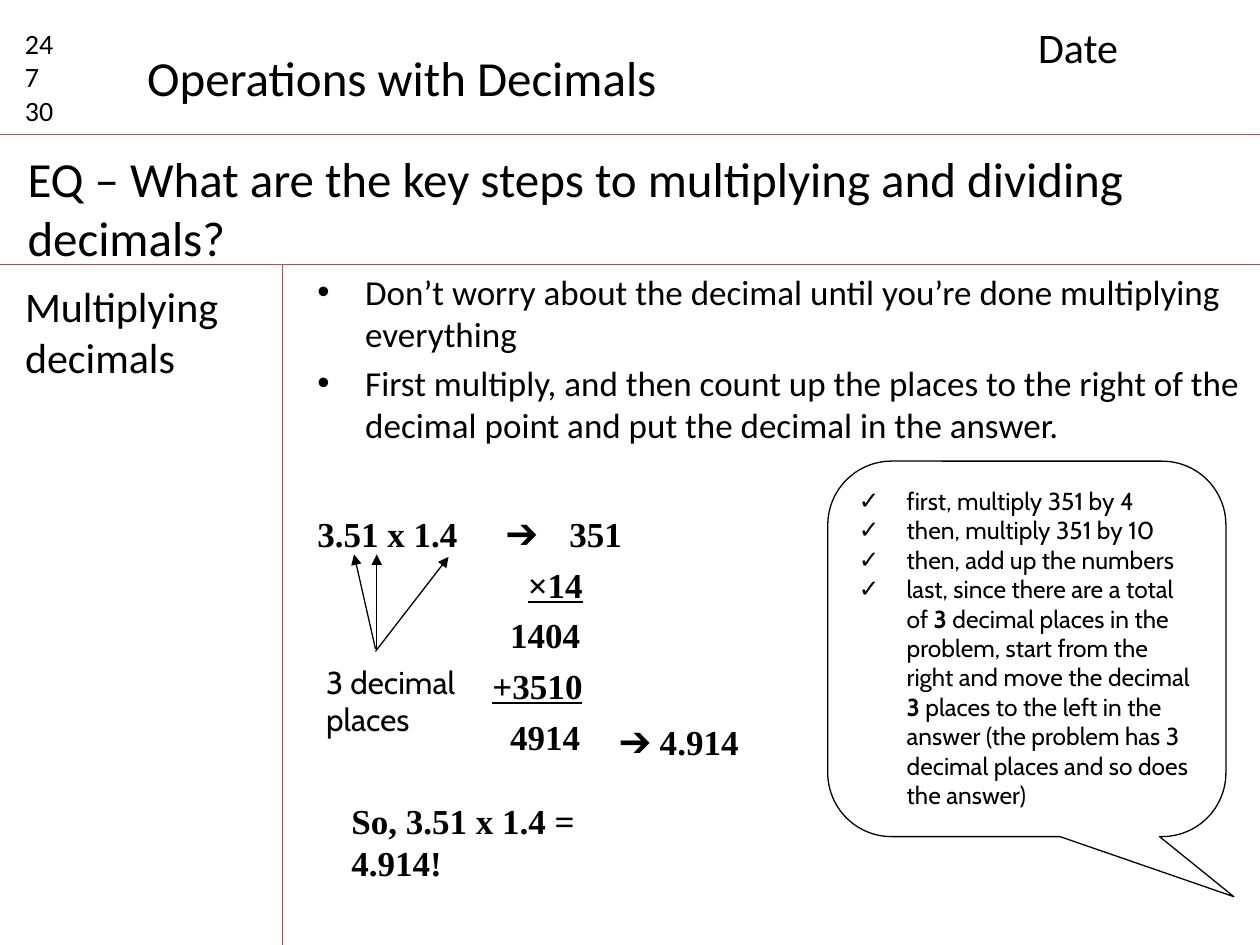
from dataclasses import dataclass

from lxml import etree
from pptx import Presentation
from pptx.dml.color import RGBColor
from pptx.enum.shapes import MSO_CONNECTOR, MSO_SHAPE
from pptx.enum.text import MSO_ANCHOR, PP_ALIGN
from pptx.oxml.ns import qn
from pptx.util import Inches, Pt

STRAIGHT = MSO_CONNECTOR.STRAIGHT
CALLOUT = MSO_SHAPE.ROUNDED_RECTANGULAR_CALLOUT
TOP = MSO_ANCHOR.TOP
LEFT = PP_ALIGN.LEFT
COLORS = {"rule": "BF4C48", "ink": "000000", "paper": "FFFFFF"}
HANGING = 0.38


@dataclass(frozen=True)
class Span:
    text: str
    bold: bool = False
    underline: bool = False


@dataclass(frozen=True)
class Line:
    spans: tuple[Span, ...]
    size: int
    font: str = "Calibri"
    before: float = 0
    margin: float = 0
    bullet: str = ""
    tabs: tuple[float, ...] = ()


@dataclass(frozen=True)
class Note:
    box: tuple[float, float, float, float]
    lines: tuple[Line, ...]
    wrap: bool = True


@dataclass(frozen=True)
class Stroke:
    start: tuple[float, float]
    end: tuple[float, float]
    color: str = "rule"
    arrow: bool = False


def rgb(name: str) -> RGBColor:
    return RGBColor.from_string(COLORS[name])


def plain(size: int, *texts: str, font: str = "Calibri", bold: bool = False) -> tuple[Line, ...]:
    return tuple(Line((Span(text, bold),), size, font) for text in texts)


def sum_line(text: str, margin: float = 0, underline: bool = False,
             before: float = 5, tabs: tuple[float, ...] = ()) -> Line:
    return Line((Span(text, True, underline),), 20, "Times New Roman", before, margin, tabs=tabs)


def write_line(paragraph, line: Line) -> None:
    paragraph.alignment = LEFT
    paragraph.space_before = Pt(line.before)
    properties = paragraph._p.get_or_add_pPr()
    properties.set("marL", str(Inches(line.margin)))
    properties.set("indent", str(Inches(-line.margin if line.bullet else 0)))
    if line.bullet:
        etree.SubElement(properties, qn("a:buFont"), typeface="Arial")
        etree.SubElement(properties, qn("a:buChar"), char=line.bullet)
    else:
        etree.SubElement(properties, qn("a:buNone"))
    if line.tabs:
        stops = etree.SubElement(properties, qn("a:tabLst"))
        for stop in line.tabs:
            etree.SubElement(stops, qn("a:tab"), pos=str(Inches(stop)), algn="l")
    for span in line.spans:
        run = paragraph.add_run()
        run.text = span.text
        run.font.name = line.font
        run.font.size = Pt(line.size)
        run.font.bold = span.bold
        run.font.underline = span.underline
        run.font.color.rgb = rgb("ink")


def write_lines(frame, lines: tuple[Line, ...], wrap: bool = True) -> None:
    frame.word_wrap = wrap
    frame.vertical_anchor = TOP
    for index, line in enumerate(lines):
        write_line(frame.add_paragraph() if index else frame.paragraphs[0], line)


def draw_note(slide, note: Note) -> None:
    textbox = slide.shapes.add_textbox(*map(Inches, note.box))
    write_lines(textbox.text_frame, note.lines, note.wrap)


def draw_stroke(slide, stroke: Stroke) -> None:
    connector = slide.shapes.add_connector(STRAIGHT, *map(Inches, stroke.start + stroke.end))
    connector.line.color.rgb = rgb(stroke.color)
    connector.line.width = Pt(0.75)
    if stroke.arrow:
        etree.SubElement(connector.line._get_or_add_ln(), qn("a:tailEnd"), type="triangle")
    etree.SubElement(connector._element.spPr, qn("a:effectLst"))


def draw_callout(slide, box: tuple[float, ...], pointer: tuple[float, ...],
                 lines: tuple[Line, ...]) -> None:
    callout = slide.shapes.add_shape(CALLOUT, *map(Inches, box))
    for index, value in enumerate(pointer):
        callout.adjustments[index] = value
    callout.shadow.inherit = False
    callout.fill.solid()
    callout.fill.fore_color.rgb = rgb("paper")
    callout.line.color.rgb = rgb("ink")
    callout.line.width = Pt(0.75)
    write_lines(callout.text_frame, lines)


RULES = (
    Stroke((0, 1.07), (10, 1.07)),
    Stroke((0, 2.1), (10, 2.1)),
    Stroke((2.24, 2.1), (2.24, 7.5)),
)
PLACE_ARROWS = (
    Stroke((2.98, 5.15), (2.81, 4.4), "ink", True),
    Stroke((2.99, 5.15), (2.99, 4.4), "ink", True),
    Stroke((2.98, 5.17), (3.56, 4.42), "ink", True),
)
ADVICE = (
    "Don’t worry about the decimal until you’re done multiplying everything",
    "First multiply, and then count up the places to the right of the decimal point "
    "and put the decimal in the answer.",
)
WORKING = (
    sum_line("3.51 x 1.4\t➔\t351", before=38, tabs=(1.25, 1.64)),
    sum_line("×14", 1.67, True),
    sum_line("1404", 1.53),
    sum_line("+3510", 1.39, True),
    sum_line("4914", 1.53),
)
LESSON = tuple(
    Line((Span(text),), 20, before=4 if index else 0, margin=HANGING, bullet="•")
    for index, text in enumerate(ADVICE)
) + WORKING
NOTES = (
    Note((0.1, 0.16, 0.63, 0.91), plain(16, "24", "7", "30")),
    Note((8.14, 0.12, 1.73, 0.5), plain(24, "Date")),
    Note((0.12, 1.13, 9.79, 1.04),
         plain(28, "EQ – What are the key steps to multiplying and dividing decimals?")),
    Note((1.07, 0.33, 4.29, 0.57), plain(28, "Operations with Decimals"), False),
    Note((0.1, 2.18, 1.75, 0.91), plain(24, "Multiplying", "decimals"), False),
    Note((2.42, 2.1, 7.58, 5.2), LESSON),
    Note((2.49, 5.21, 1.34, 0.7), plain(18, "3 decimal", "places", font="Cabin"), False),
    Note((4.82, 5.67, 1.19, 0.43),
         plain(20, "➔ 4.914", font="Times New Roman", bold=True), False),
    Note((2.69, 6.3, 2.6, 0.43),
         plain(20, "So, 3.51 x 1.4 = 4.914!", font="Times New Roman", bold=True)),
)
STEPS = (
    (Span("first, multiply 351 by 4"),),
    (Span("then, multiply 351 by 10"),),
    (Span("then, add up the numbers"),),
    (
        Span("last, since there are a total of "),
        Span("3", True),
        Span(" decimal places in the problem, start from the right and move the decimal "),
        Span("3", True),
        Span(" places to the left in the answer "
             "(the problem has 3 decimal places and so does the answer)"),
    ),
)


def main() -> None:
    presentation = Presentation()
    presentation.slide_width = Inches(10)
    presentation.slide_height = Inches(7.5)
    slide = presentation.slides.add_slide(presentation.slide_layouts[6])
    for rule in RULES:
        draw_stroke(slide, rule)
    for note in NOTES:
        draw_note(slide, note)
    for arrow in PLACE_ARROWS:
        draw_stroke(slide, arrow)
    steps = tuple(Line(spans, 14, "Cabin", margin=HANGING, bullet="✓") for spans in STEPS)
    draw_callout(slide, (6.57, 3.66, 3.16, 2.98), (0.52, 0.66, 0.17), steps)
    presentation.save("out.pptx")


if __name__ == "__main__":
    main()
